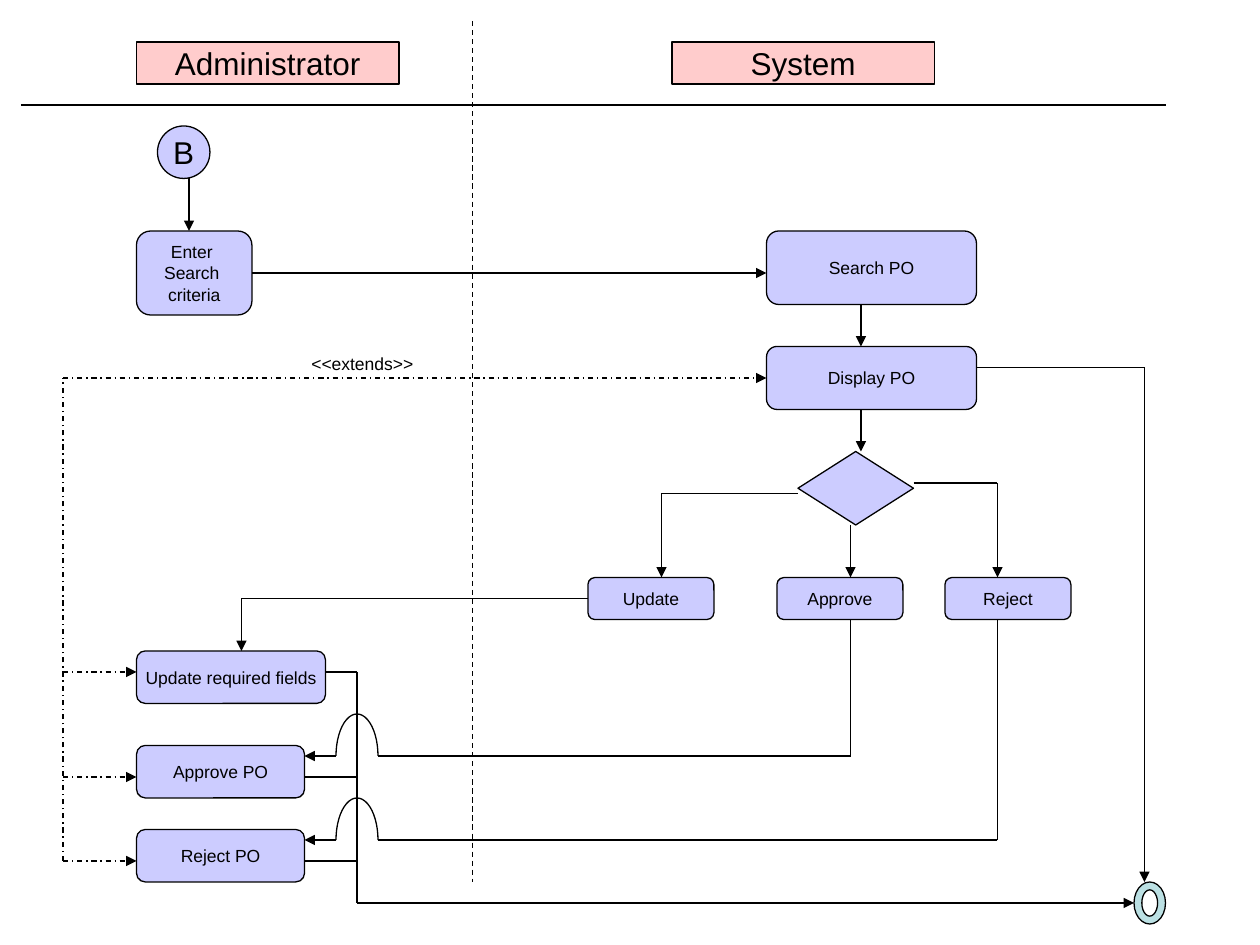
from itertools import pairwise

from lxml.etree import SubElement
from pptx import Presentation
from pptx.dml.color import RGBColor as RGB
from pptx.enum.dml import MSO_LINE as DASH
from pptx.enum.shapes import MSO_CONNECTOR, MSO_SHAPE as SHAPE
from pptx.enum.text import MSO_ANCHOR as ANCHOR, PP_ALIGN as ALIGN
from pptx.oxml.ns import qn
from pptx.util import Pt

THEME = {
    "font": "Arial", "ink": RGB(0, 0, 0), "line": 0.75,
    "lane": RGB(0xFF, 0xCC, 0xCC), "step": RGB(0xCC, 0xCC, 0xFF),
    "end": RGB(0xBB, 0xE0, 0xE3),
    "heading": 18, "label": 10,
}

# Content: all positions are points on a 6 pt grid (left, top, width, height)
LANES = [("Administrator", (78, 24, 150, 24)), ("System", (384, 24, 150, 24))]
START = ("B", (90, 72, 30, 30))
STEPS = [
    ("Enter \nSearch \ncriteria", (78, 132, 66, 48)),
    ("Search PO", (438, 132, 120, 42)),
    ("Display PO", (438, 198, 120, 36)),
    ("Update", (336, 330, 72, 24)),
    ("Approve", (444, 330, 72, 24)),
    ("Reject", (540, 330, 72, 24)),
    ("Update required fields", (78, 372, 108, 30)),
    ("Approve PO", (78, 426, 96, 30)),
    ("Reject PO", (78, 474, 96, 30)),
]
DECISION = (456, 258, 66, 42)
END = (648, 504, 18, 24)
EXTENDS = ("<<extends>>", (144, 198, 126, 19.5))

LANE_DIVIDER = [(270, 12), (270, 504)]
HEADER_RULE = [(12, 60), (666, 60)]
FLOWS = [
    [(108, 102), (108, 132)],                            # start to criteria
    [(144, 156), (438, 156)],                            # criteria to search
    [(492, 174), (492, 198)],                            # search to display
    [(492, 234), (492, 258)],                            # display to decision
    [(486, 300), (486, 330)],                            # decision to approve
    [(456, 282), (378, 282), (378, 330)],                # decision to update
    [(522, 276), (570, 276), (570, 330)],                # decision to reject
    [(336, 342), (138, 342), (138, 372)],                # update to its fields
    [(186, 384), (204, 384), (204, 516), (648, 516)],    # fields to end
    [(558, 210), (654, 210), (654, 504)],                # display to end
]
JOINS = [444, 492]                     # heights where PO steps join the end flow
HOPS = [(486, 432), (570, 480)]        # choice x, height of the hopping flow
EXTENDS_FLOW = [(36, 492), (36, 216), (438, 216)]
EXTENDED = [384, 444, 492]

TRUNK_X, PO_RIGHT, STEP_LEFT, CHOICE_BOTTOM = 204, 174, 78, 354
HOP_RX, HOP_RY = 12, 24

deck = Presentation()
deck.slide_width, deck.slide_height = Pt(720), Pt(540)
slide = deck.slides.add_slide(deck.slide_layouts[6])


def write(frame, text, size=THEME["label"], anchor=ANCHOR.MIDDLE, wrap=False):
    frame.text = text
    frame.word_wrap, frame.vertical_anchor = wrap, anchor
    for paragraph in frame.paragraphs:
        paragraph.alignment = ALIGN.CENTER
        for run in paragraph.runs:
            run.font.name, run.font.size = THEME["font"], Pt(size)
            run.font.color.rgb = THEME["ink"]


def draw_line(line, dash=None):
    line.color.rgb, line.width = THEME["ink"], Pt(THEME["line"])
    if dash:
        line.dash_style = dash


def node(kind, box, fill=None):
    shape = slide.shapes.add_shape(kind, *map(Pt, box))
    shape.shadow.inherit = False
    if fill is None:
        shape.fill.background()
    else:
        shape.fill.solid()
        shape.fill.fore_color.rgb = fill
    draw_line(shape.line)
    return shape


def route(points, dash=None, arrow=True):
    """Join the points with straight lines; the last one carries the arrow."""
    for start, end in pairwise(points):
        segment = slide.shapes.add_connector(
            MSO_CONNECTOR.STRAIGHT, *map(Pt, (*start, *end)))
        draw_line(segment.line, dash)
        properties = segment._element.spPr
        SubElement(properties, qn("a:effectLst"))
    if arrow:
        SubElement(properties.find(qn("a:ln")), qn("a:tailEnd"), type="triangle")


# Lanes
route(LANE_DIVIDER, dash=DASH.DASH, arrow=False)
route(HEADER_RULE, arrow=False)
for text, box in LANES:
    write(node(SHAPE.RECTANGLE, box, THEME["lane"]).text_frame, text, size=THEME["heading"])

# Start, steps, decision and end
write(node(SHAPE.OVAL, START[1], THEME["step"]).text_frame, START[0], size=THEME["heading"])
for text, box in STEPS:
    write(node(SHAPE.ROUNDED_RECTANGLE, box, THEME["step"]).text_frame, text)
node(SHAPE.DIAMOND, DECISION, THEME["step"])
node(SHAPE.DONUT, END, THEME["end"])

# Flows
for points in FLOWS:
    route(points)
for y in JOINS:
    route([(PO_RIGHT, y), (TRUNK_X, y)], arrow=False)

# Flows that hop over the trunk line
for x, y in HOPS:
    route([(x, CHOICE_BOTTOM), (x, y), (TRUNK_X + HOP_RX, y)], arrow=False)
    hop = node(SHAPE.ARC, (TRUNK_X - HOP_RX, y - HOP_RY, 2 * HOP_RX, 2 * HOP_RY))
    hop.adjustments[0], hop.adjustments[1] = 108, 0     # upper half: 180 to 360 degrees
    route([(TRUNK_X - HOP_RX, y), (PO_RIGHT, y)])

# Extends relation
route(EXTENDS_FLOW, dash=DASH.DASH_DOT)
for y in EXTENDED:
    route([(EXTENDS_FLOW[0][0], y), (STEP_LEFT, y)], dash=DASH.DASH_DOT)
extends_label = slide.shapes.add_textbox(*map(Pt, EXTENDS[1]))
write(extends_label.text_frame, EXTENDS[0], anchor=ANCHOR.TOP, wrap=True)

deck.save("out.pptx")
